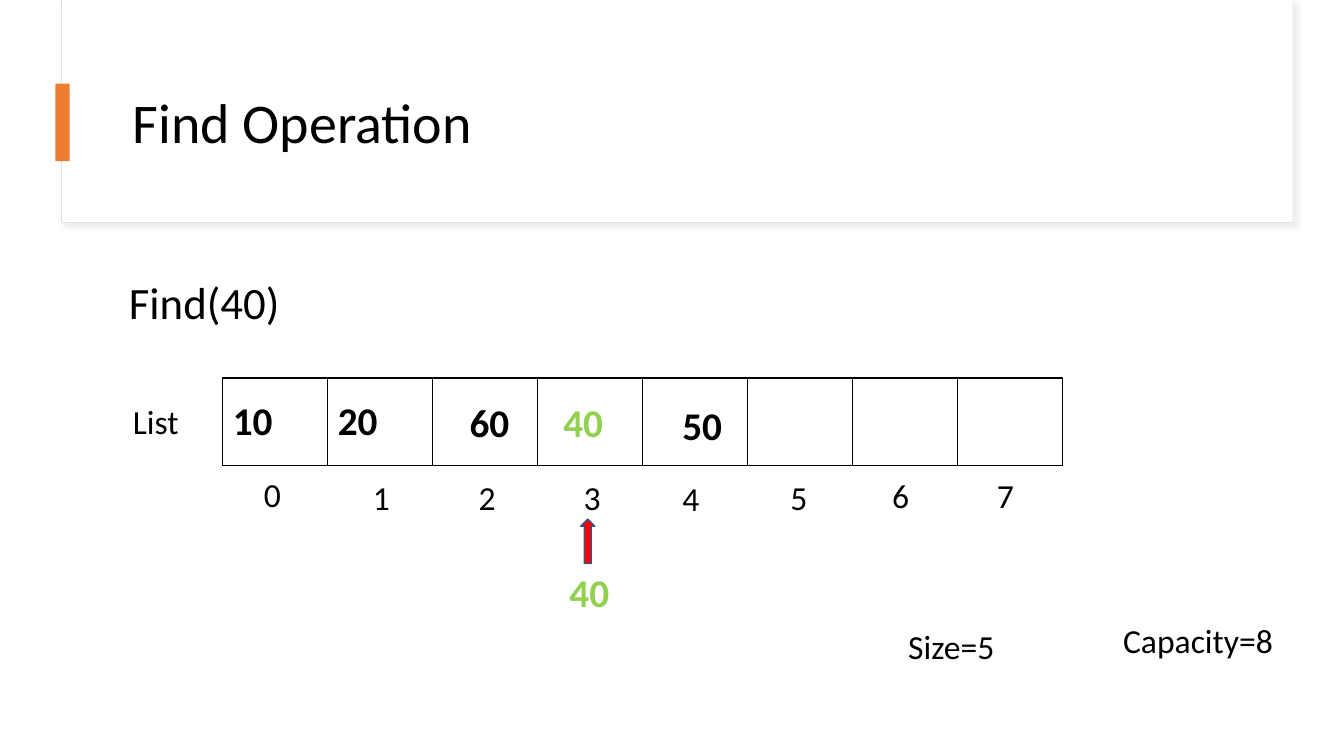
from dataclasses import dataclass

from lxml import etree
from pptx import Presentation
from pptx.dml.color import RGBColor
from pptx.enum.shapes import MSO_SHAPE
from pptx.enum.text import MSO_ANCHOR
from pptx.oxml import parse_xml
from pptx.oxml.ns import nsdecls, qn
from pptx.util import Inches, Pt

RECTANGLE = MSO_SHAPE.RECTANGLE
UP_ARROW = MSO_SHAPE.UP_ARROW
MIDDLE = MSO_ANCHOR.MIDDLE
TOP = MSO_ANCHOR.TOP


@dataclass(frozen=True)
class Theme:
    font: str = "Calibri"
    ink: str = "000000"
    paper: str = "FFFFFF"
    frame: str = "E1E1E1"
    shadow: str = "D9D9D9"
    accent: str = "ED7D31"
    found: str = "92D050"
    pointer: str = "FF0000"
    pointer_edge: str = "325491"
    title_size: int = 40
    call_size: int = 32
    value_size: int = 28
    label_size: int = 24


THEME = Theme()

CAPACITY = 8
CELL_WIDTH = 8.33 / CAPACITY
STORED_VALUES = ("10", "20")
# Left and top of each index label, in order
INDEX_PLACES = ((2.52, 4.65), (3.6, 4.68), (4.65, 4.68), (5.69, 4.68),
                (6.67, 4.69), (7.74, 4.68), (8.75, 4.66), (9.79, 4.66))


def write(frame, text, *, size, color=THEME.ink, bold=False):
    """Put one formatted span in the first paragraph of a text frame."""
    para = frame.paragraphs[0]
    span = para.add_run()
    span.text = text
    span.font.name = THEME.font
    span.font.size = Pt(size)
    span.font.bold = bold
    span.font.color.rgb = RGBColor.from_string(color)
    return para


def add_text(page, text, left, top, width, height, *, wrap=False, anchor=TOP,
             line_spacing=None, **text_format):
    box = page.shapes.add_textbox(
        Inches(left), Inches(top), Inches(width), Inches(height))
    box.text_frame.word_wrap = wrap
    box.text_frame.vertical_anchor = anchor
    para = write(box.text_frame, text, **text_format)
    if line_spacing:
        para.line_spacing = line_spacing


def add_value(page, text, left, top, color=THEME.ink):
    add_text(page, text, left, top, 0.6, 0.57,
             size=THEME.value_size, color=color, bold=True)


def add_block(page, kind, left, top, width, height, fill, *,
              line=None, line_width=1):
    block = page.shapes.add_shape(
        kind, Inches(left), Inches(top), Inches(width), Inches(height))
    block.shadow.inherit = False
    block.fill.solid()
    block.fill.fore_color.rgb = RGBColor.from_string(fill)
    if line:
        block.line.color.rgb = RGBColor.from_string(line)
        block.line.width = Pt(line_width)
    else:
        block.line.fill.background()
    return block


def add_soft_shadow(block):
    effects = block._element.spPr.find(qn("a:effectLst"))
    effects.append(parse_xml(
        f'<a:outerShdw {nsdecls("a")} blurRad="{Pt(4)}" dist="{Pt(3)}" '
        f'dir="2700000" algn="tl" rotWithShape="0">'
        f'<a:srgbClr val="{THEME.shadow}"><a:alpha val="50000"/></a:srgbClr>'
        f'</a:outerShdw>'))


def set_borders(cell):
    properties = cell._tc.get_or_add_tcPr()
    for position, side in enumerate(("lnL", "lnR", "lnT", "lnB")):
        border = etree.Element(qn(f"a:{side}"), w=str(Pt(1)))
        fill = etree.SubElement(border, qn("a:solidFill"))
        etree.SubElement(fill, qn("a:srgbClr"), val=THEME.ink)
        properties.insert(position, border)


def add_list_table(page):
    table = page.shapes.add_table(
        1, CAPACITY, Inches(2.21), Inches(3.75),
        Inches(CELL_WIDTH * CAPACITY), Inches(0.87)).table
    table.first_row = False
    table.horz_banding = False
    for column in table.columns:
        column.width = Inches(CELL_WIDTH)
    for cell in table.iter_cells():
        cell.vertical_anchor = MIDDLE
        cell.fill.solid()
        cell.fill.fore_color.rgb = RGBColor.from_string(THEME.paper)
        set_borders(cell)
    for column, value in enumerate(STORED_VALUES):
        write(table.cell(0, column).text_frame, value,
              size=THEME.value_size, bold=True)


def add_header(page):
    frame = add_block(page, RECTANGLE, 0.61, 0, 12.21, 2.21, THEME.paper,
                      line=THEME.frame, line_width=0.75)
    add_soft_shadow(frame)
    add_block(page, RECTANGLE, 0.62, 0, 12.2, 2.2, THEME.paper)
    add_text(page, "Find Operation", 1.22, 0.6, 11.12, 1.29, wrap=True,
             anchor=MIDDLE, line_spacing=0.9, size=THEME.title_size)
    add_block(page, RECTANGLE, 0.55, 0.83, 0.14, 0.77, THEME.accent)


def main():
    deck = Presentation()
    deck.slide_width = Inches(13.33)
    deck.slide_height = Inches(7.5)
    page = deck.slides.add_slide(deck.slide_layouts[6])

    add_header(page)

    # List with its labels and indices
    add_list_table(page)
    add_text(page, "List", 1.22, 3.93, 0.66, 0.5, size=THEME.label_size)
    add_text(page, "Capacity=8", 11.04, 6.1, 1.7, 0.5, size=THEME.label_size)
    add_text(page, "Size=5", 8.91, 6.16, 1.07, 0.5, size=THEME.label_size)
    for index, (left, top) in enumerate(INDEX_PLACES):
        add_text(page, str(index), left, top, 0.37, 0.5,
                 size=THEME.label_size)

    # Call and the values laid over the list
    add_text(page, "Find(40)", 1.18, 2.68, 1.71, 0.64, size=THEME.call_size)
    add_value(page, "50", 6.67, 3.93)
    add_value(page, "60", 4.56, 3.9)
    add_value(page, "40", 5.49, 3.9, THEME.found)

    # Sought value pointing at its index
    add_value(page, "40", 5.55, 5.59, THEME.found)
    add_block(page, UP_ARROW, 5.76, 5.15, 0.14, 0.44, THEME.pointer,
              line=THEME.pointer_edge)

    deck.save("out.pptx")


if __name__ == "__main__":
    main()
